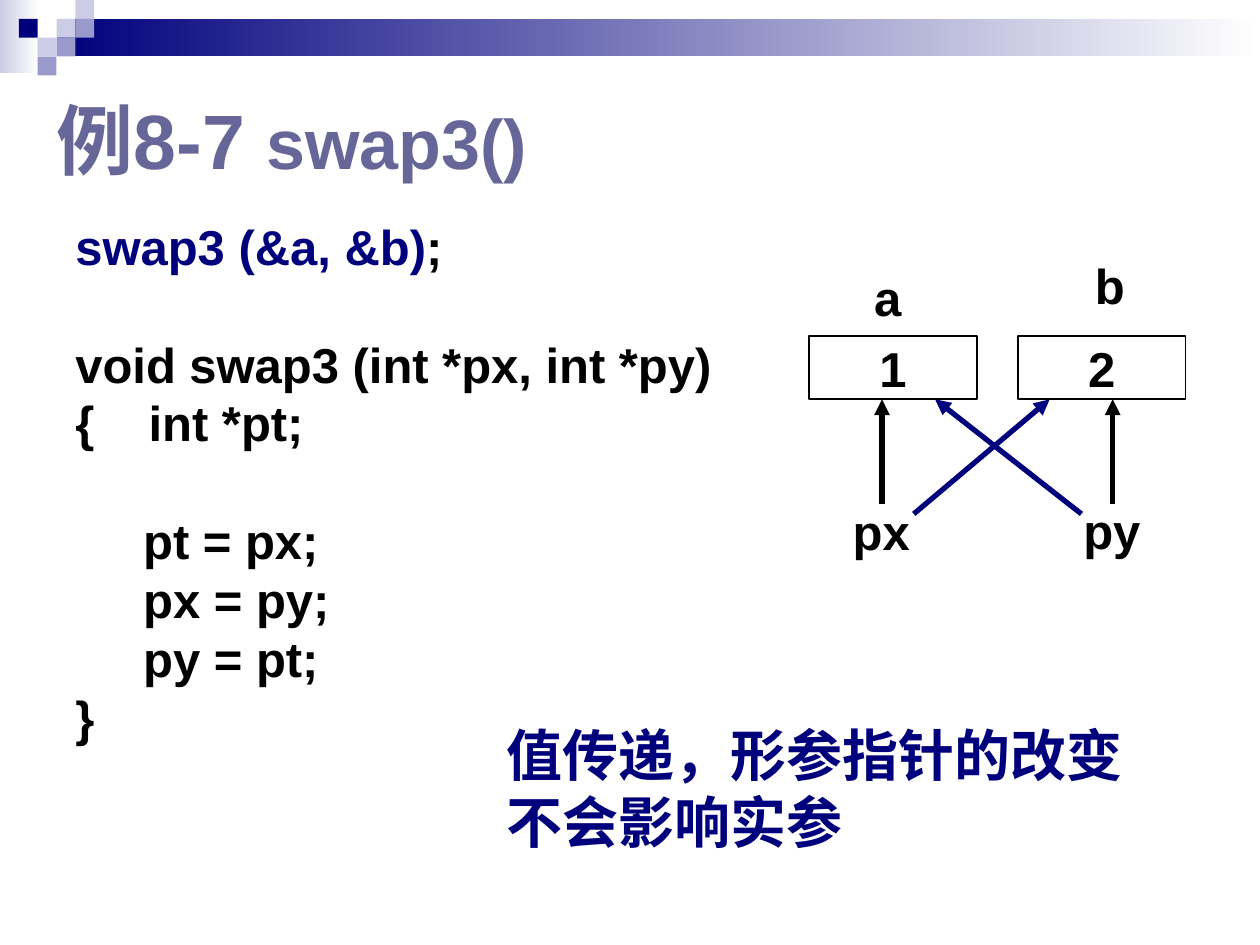
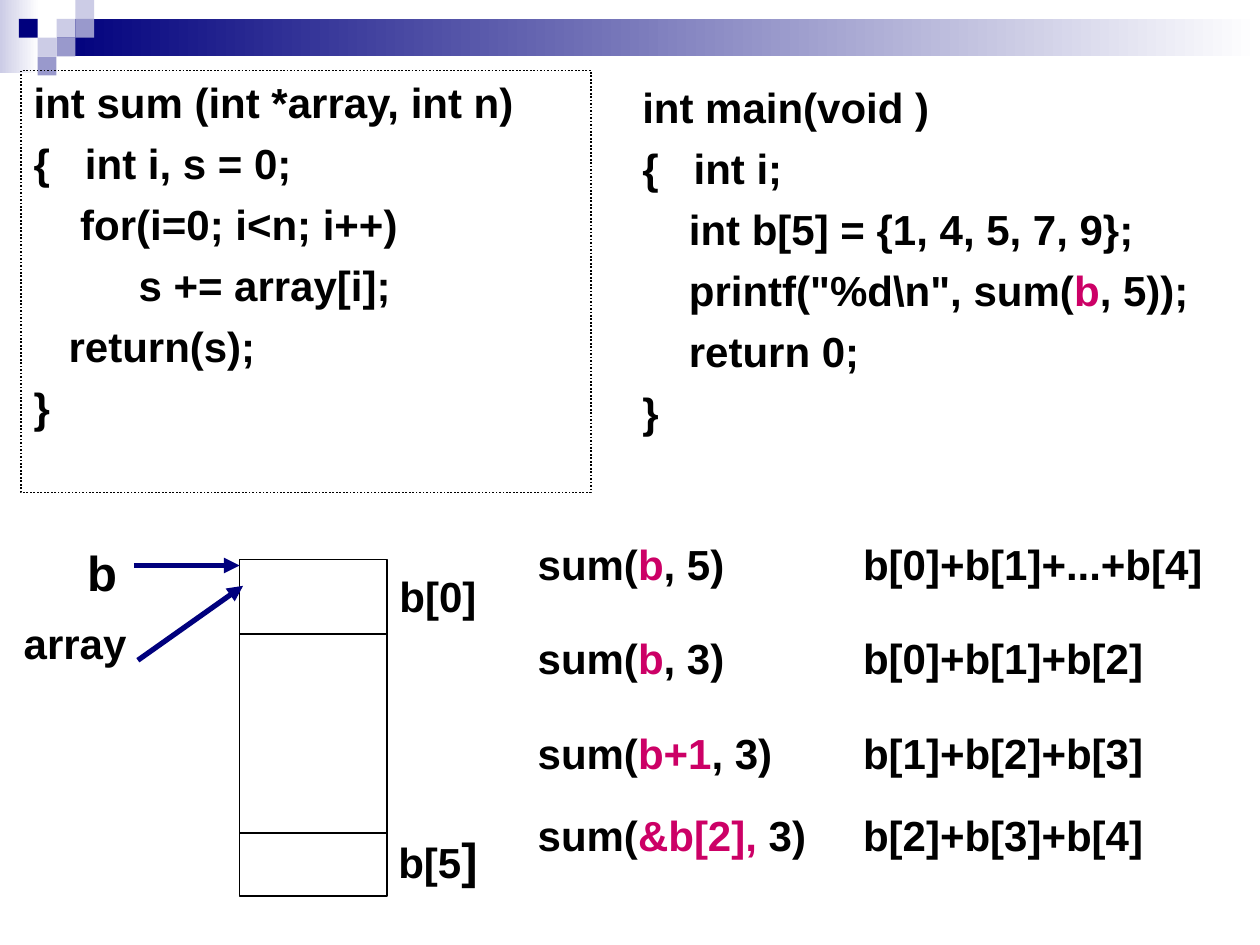
from lxml import etree
from pptx import Presentation, util as u
from pptx.dml import color
from pptx.enum import dml, shapes, text
from pptx.oxml import ns

NAVY, LILAC, PALE = "00007D", "9999CC", "CCCCE6"
BLACK, WHITE, SLATE, PINK = "000000", "FFFFFF", "666699", "CC0066"
FONT = "Arial"
CELL = 0.38
BAND_CELLS = [(3, 1, PALE), (4, 0, PALE), (4, 1, LILAC), (2, 2, PALE),
              (1, 1, NAVY), (3, 2, LILAC), (2, 3, LILAC)]


def rgb(value):
    """Turn a hex string into a colour."""
    return color.RGBColor.from_string(value)


def cm(*lengths):
    """Turn plain numbers into centimetre lengths."""
    return [u.Cm(length) for length in lengths]


def write(frame, lines, size, colour=BLACK, font=FONT, align=text.PP_ALIGN.LEFT,
          anchor=text.MSO_ANCHOR.TOP, gap=0, breaks=(), hanging=0, spacing=None):
    """Fill a frame; a line is a string or a list of (text, colour, size) spans."""
    frame.word_wrap = True
    frame.auto_size = text.MSO_AUTO_SIZE.NONE
    frame.vertical_anchor = anchor
    for index, line in enumerate(lines):
        para = frame.add_paragraph() if index else frame.paragraphs[0]
        para.alignment = align
        if index:
            para.space_before = u.Pt(round(size * 1.2, 1) if index in breaks else gap)
        if spacing:
            para.line_spacing = spacing
        if hanging:
            props = para._p.get_or_add_pPr()
            props.set("marL", str(u.Cm(hanging)))
            props.set("indent", str(-u.Cm(hanging)))
        para.font.name, para.font.size, para.font.bold = font, u.Pt(size), True
        para.font.color.rgb = rgb(colour)
        for words, tint, points in [(line, None, None)] if isinstance(line, str) else line:
            span = para.add_run()
            span.text = words
            if tint:
                span.font.color.rgb = rgb(tint)
            if points:
                span.font.size = u.Pt(points)


def add_text(page, at, lines, size, **style):
    """Add a text box and fill it."""
    box = page.shapes.add_textbox(*cm(*at))
    write(box.text_frame, lines, size, **style)
    return box


def add_box(page, at, fill=None, line=None):
    """Add a rectangle with an optional fill and outline."""
    box = page.shapes.add_shape(shapes.MSO_SHAPE.RECTANGLE, *cm(*at))
    box.shadow.inherit = False
    if fill:
        box.fill.solid()
        box.fill.fore_color.rgb = rgb(fill)
    else:
        box.fill.background()
    if line:
        box.line.color.rgb = rgb(line)
        box.line.width = u.Pt(1)
    else:
        box.line.fill.background()
    return box


def add_fade(page, at, colour):
    """Add a rectangle that fades to white on the right."""
    box = add_box(page, at)
    box.fill.gradient()
    box.fill.gradient_angle = 0
    for stop, tint in zip(box.fill.gradient_stops, (colour, WHITE)):
        stop.color.rgb = rgb(tint)


def add_line(page, ends, colour=BLACK, width=1, arrow=False):
    """Add a straight line, with an arrowhead at its end on request."""
    line = page.shapes.add_connector(shapes.MSO_CONNECTOR.STRAIGHT, *cm(*ends))
    line.line.color.rgb = rgb(colour)
    line.line.width = u.Pt(width)
    if arrow:
        head = etree.SubElement(line.line._get_or_add_ln(), ns.qn("a:tailEnd"))
        head.set("type", "triangle")
    etree.SubElement(line._element.spPr, ns.qn("a:effectLst"))


def add_page(deck, layout):
    """Add a page with the shared band across its top."""
    page = deck.slides.add_slide(deck.slide_layouts[layout])
    add_fade(page, (0, 0, 0.79, 1.48), PALE)
    add_fade(page, (3 * CELL, CELL, 25.4 - 3 * CELL, 2 * CELL), NAVY)
    for column, row, colour in BAND_CELLS:
        add_box(page, (column * CELL, row * CELL, CELL, CELL), colour)
    return page


def build_swap(deck):
    """Build the page on swapping pointer parameters."""
    page = add_page(deck, 5)
    title = page.shapes.title
    title.left, title.top, title.width, title.height = cm(0.89, 1.52, 12.7, 2.34)
    write(title.text_frame, [[("例8-7 ", None, None), ("swap3()", None, 40)]], 44,
          colour=SLATE, anchor=text.MSO_ANCHOR.BOTTOM)
    code = [[("swap3 (&a, &b)", NAVY, None), (";", None, None)],
            "void swap3 (int *px, int *py)", "{    int *pt;",
            "     pt = px;", "     px = py;", "     py = pt;", "}"]
    add_text(page, (1.27, 4.24, 13.34, 12.27), code, 28, breaks=(1, 3), hanging=0.95)

    for x in (17.78, 22.43):
        add_line(page, (x, 10.16, x, 8.05), width=3, arrow=True)
    for label, x, y in [("a", 17.37, 5.26), ("b", 21.82, 5.03),
                        ("px", 16.94, 9.98), ("py", 21.59, 9.96)]:
        add_text(page, (x, y, 2.12, 1.45), [label], 28)
    for value, x in [("1", 16.31), ("2", 20.52)]:
        box = add_box(page, (x, 6.78, 3.38, 1.27), line=BLACK)
        write(box.text_frame, [value], 28, align=text.PP_ALIGN.CENTER,
              anchor=text.MSO_ANCHOR.MIDDLE)
    add_text(page, (9.96, 14.4, 13.97, 2.97), ["值传递，形参指针的改变不会影响实参"],
             32, colour=NAVY, font="Courier New")
    for start, end in [(18.42, 21.16), (21.8, 18.85)]:
        add_line(page, (start, 10.36, end, 8.05), NAVY, 3, arrow=True)


def build_sum(deck):
    """Build the page on passing an array to a function."""
    page = add_page(deck, 6)
    code_style = {"gap": 6, "hanging": 0.95}
    sum_box = add_text(page, (0.43, 1.42, 11.48, 8.51), [
        "int sum (int *array, int n)", "{   int i, s = 0;", "    for(i=0; i<n; i++)",
        "         s += array[i];", "   return(s);", "}"], 24, **code_style)
    sum_box.line.color.rgb = rgb(BLACK)
    sum_box.line.width = u.Pt(1)
    sum_box.line.dash_style = dml.MSO_LINE.ROUND_DOT
    add_text(page, (12.7, 1.52, 12.01, 7.42), [
        "int main(void )", "{   int i;", "    int b[5] = {1, 4, 5, 7, 9};",
        [('    printf("%d\\n", sum(', None, None), ("b", PINK, None), (", 5));", None, None)],
        "    return 0;", "}"], 24, **code_style)

    add_box(page, (4.83, 11.28, 2.97, 6.78), line=BLACK)
    for y in (12.78, 16.79):
        add_line(page, (4.83, y, 7.8, y))
    last = [("b[5", None, None), ("]", None, 28)]
    for label, at, size in [("b", (1.35, 10.72, 1.42, 1.63), 28),
                            ("b[0]", (7.7, 11.38, 2.26, 1.27), 24),
                            (last, (7.7, 16.59, 2.26, 1.45), 24),
                            ("array", (0.18, 12.32, 2.67, 1.27), 24)]:
        add_text(page, at, [label], size, align=text.PP_ALIGN.CENTER,
                 anchor=text.MSO_ANCHOR.MIDDLE)
    add_line(page, (2.7, 11.4, 4.83, 11.4), NAVY, 3, arrow=True)
    add_line(page, (2.78, 13.31, 4.9, 11.81), NAVY, 3, arrow=True)

    for y, argument, rest, result in [(10.85, "b", ", 5)", "b[0]+b[1]+...+b[4]"),
                                      (12.75, "b", ", 3)", "b[0]+b[1]+b[2]"),
                                      (14.65, "b+1", ", 3)", "b[1]+b[2]+b[3]"),
                                      (16.3, "&b[2],", " 3)", "b[2]+b[3]+b[4]")]:
        call = [("sum(", None, None), (argument, PINK, None), (rest, None, None)]
        add_text(page, (10.59, y, 6.4, 1.17), [call], 24, spacing=0.9)
        add_text(page, (17.15, y, 8, 1.17), [result], 24, spacing=0.9)


def main():
    """Build the deck and save it."""
    deck = Presentation()
    deck.slide_width, deck.slide_height = cm(25.4, 19.05)
    build_swap(deck)
    build_sum(deck)
    deck.save("out.pptx")


if __name__ == "__main__":
    main()
